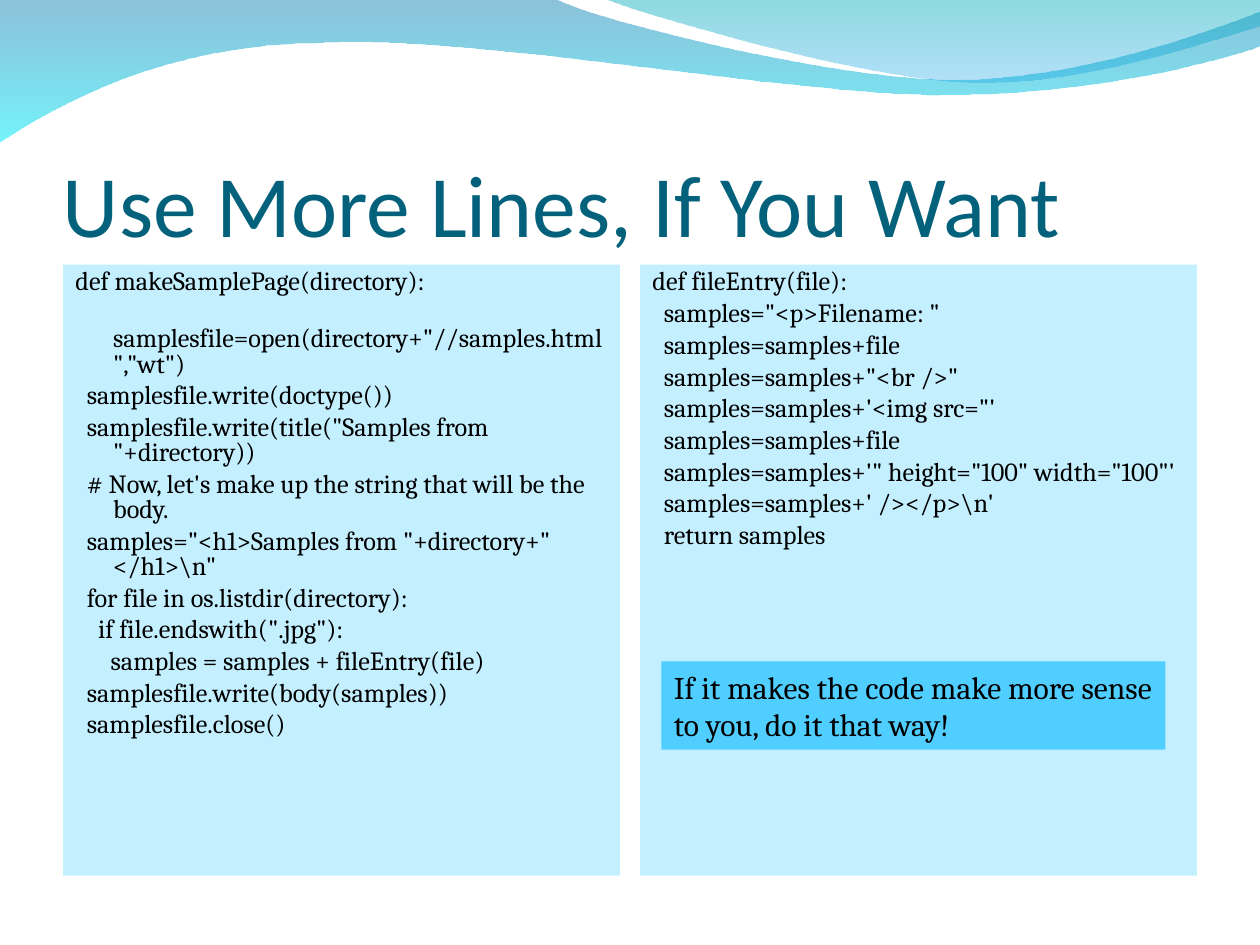
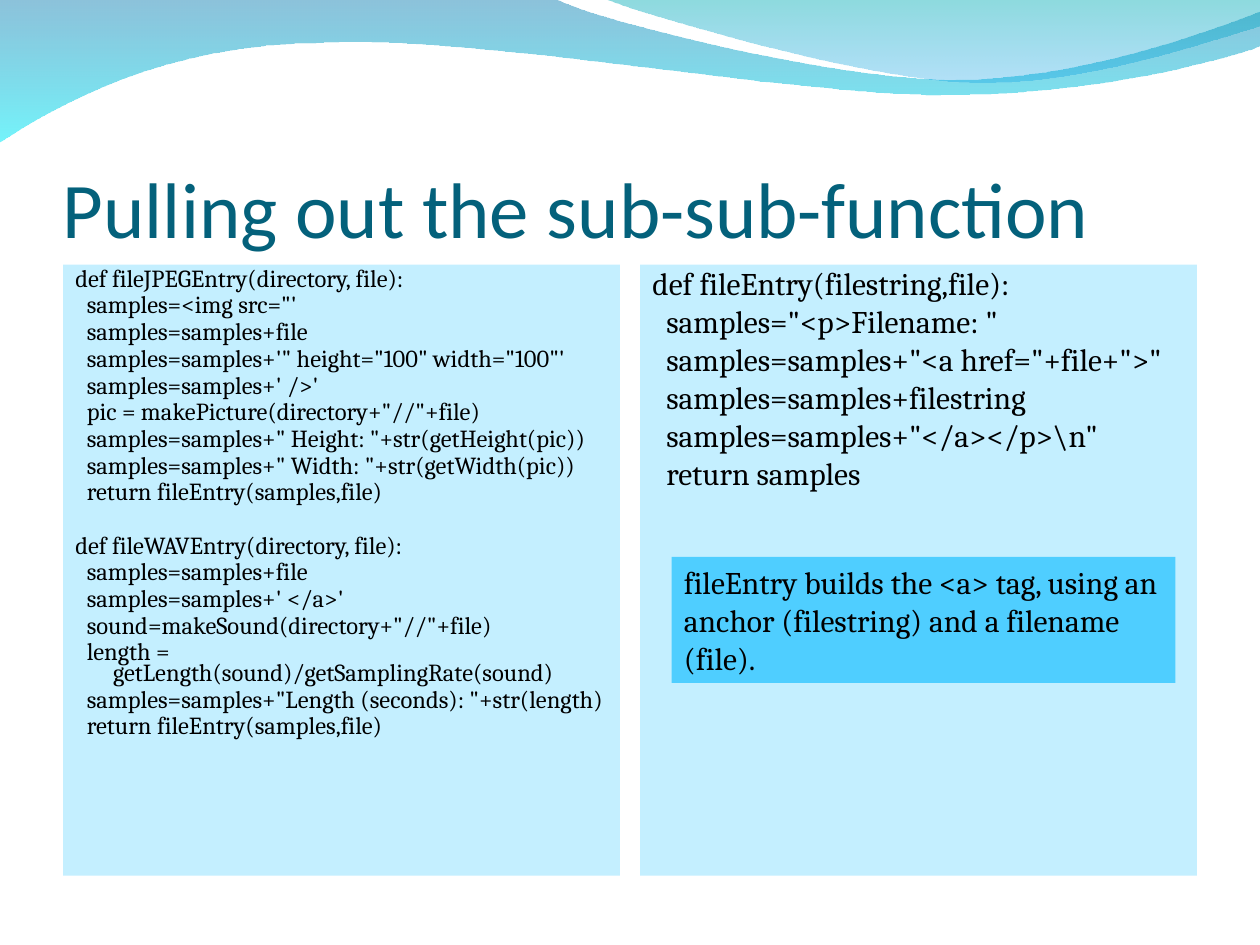
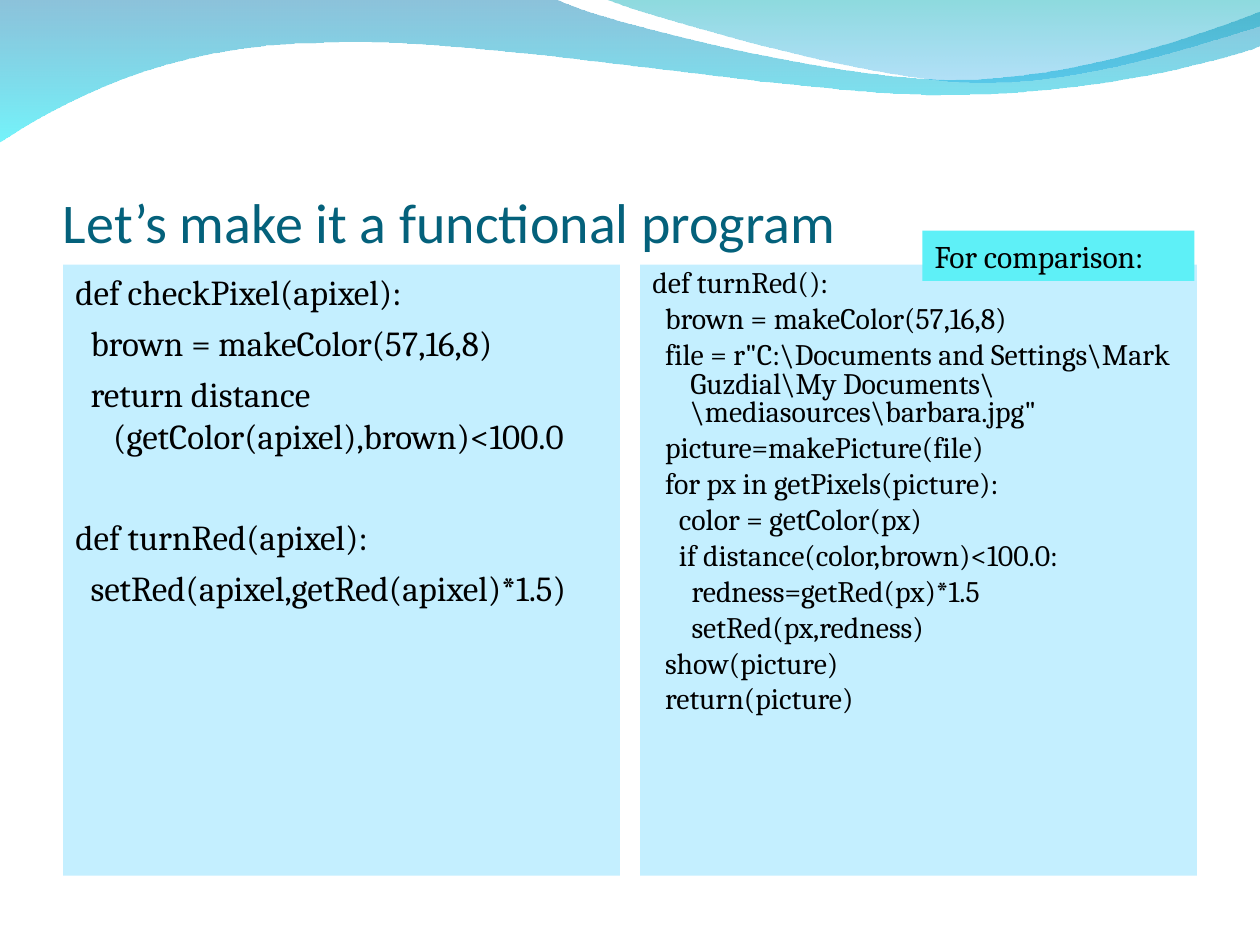
from dataclasses import dataclass
from typing import NamedTuple

from lxml import etree
from pptx import Presentation
from pptx.dml.color import RGBColor
from pptx.enum import shapes, text
from pptx.oxml import ns
from pptx.util import Emu, Pt

EMU_PER_PX = 9144  # 100 px to the inch


def px(length: float) -> Emu:
    return Emu(round(length * EMU_PER_PX))


# ---------- Theme and records ----------
@dataclass(frozen=True)
class Theme:
    heading_font: str = "Calibri"
    body_font: str = "Cambria"
    title_color: str = "04617B"
    text_color: str = "000000"
    panel_fill: str = "C4EFFF"
    note_fill: str = "4FCEFF"
    label_fill: str = "5EF0F7"
    note_size: int = 18
    line_height: float = 1.19  # body font line height, in ems
    space_width: float = 0.22  # body font space, in ems
    longest_word: int = 45  # characters that fit on one panel line


THEME = Theme()


class Box(NamedTuple):
    left: int
    top: int
    width: int
    height: int


class Stop(NamedTuple):
    color: str
    opacity: int


class Wave(NamedTuple):
    start: tuple
    segments: tuple  # one point is a line, three points are a curve
    stops: tuple


class Code(NamedTuple):
    source: str
    size: int
    spacing: float
    space_before: float


class Note(NamedTuple):
    words: str
    box: Box
    fill: str = THEME.note_fill


class Page(NamedTuple):
    title: str
    title_size: int
    panels: tuple
    note: Note


TITLE_BOX = Box(50, 77, 900, 125)
PANEL_BOX = Box(50, 210, 442, 485)
PANEL_STEP = 458
HANGING = 30
INSETS = (10, 5, 10, 5)

WAVES = (
    Wave((0, -1), (
        ((440, -1),),
        ((476, 17), (664, 63), (758, 63)),
        ((853, 63), (958, 26), (1000, 9)),
        ((1001, 36),),
        ((983, 44), (870, 76), (746, 75)),
        ((622, 75), (382, 28), (257, 34)),
        ((129, 35), (46, 83), (-1, 113)),
    ), (Stop("0079AF", 45), Stop("00EBF8", 55))),
    Wave((479, -1), (
        ((509, 11), (682, 62), (769, 65)),
        ((856, 69), (961, 32), (1000, 21)),
        ((1000, 0),),
    ), (Stop("00ADB6", 45), Stop("009BE5", 30))),
)

# ---------- Code listings ----------
SAMPLE_PAGE = r'''
def makeSamplePage(directory):
  samplesfile=open(directory+"//samples.html","wt")
  samplesfile.write(doctype())
  samplesfile.write(title("Samples from "+directory))
  # Now, let's make up the string that will be the body.
  samples="<h1>Samples from "+directory+" </h1>\n"
  for file in os.listdir(directory):
    if file.endswith(".jpg"):
      samples = samples + fileEntry(file)
  samplesfile.write(body(samples))
  samplesfile.close()
'''
FILE_ENTRY = r'''
def fileEntry(file):
  samples="<p>Filename: "
  samples=samples+file
  samples=samples+"<br />"
  samples=samples+'<img src="'
  samples=samples+file
  samples=samples+'" height="100" width="100"'
  samples=samples+' /></p>\n'
  return samples
'''
MEDIA_ENTRIES = r'''
def fileJPEGEntry(directory, file):
  samples=<img src="'
  samples=samples+file
  samples=samples+'" height="100" width="100"'
  samples=samples+' />'
  pic = makePicture(directory+"//"+file)
  samples=samples+" Height: "+str(getHeight(pic))
  samples=samples+" Width: "+str(getWidth(pic))
  return fileEntry(samples,file)

def fileWAVEntry(directory, file):
  samples=samples+file
  samples=samples+' </a>'
  sound=makeSound(directory+"//"+file)
  length = getLength(sound)/getSamplingRate(sound)
  samples=samples+"Length (seconds): "+str(length)
  return fileEntry(samples,file)
'''
LINK_ENTRY = r'''
def fileEntry(filestring,file):
  samples="<p>Filename: "
  samples=samples+"<a href="+file+">"
  samples=samples+filestring
  samples=samples+"</a></p>\n"
  return samples
'''
FUNCTIONAL_RED = r'''
def checkPixel(apixel):
  brown = makeColor(57,16,8)
  return distance (getColor(apixel),brown)<100.0

def turnRed(apixel):
  setRed(apixel,getRed(apixel)*1.5)
'''
LOOPING_RED = r'''
def turnRed():
  brown = makeColor(57,16,8)
  file = r"C:\Documents and Settings\Mark Guzdial\My Documents\\mediasources\barbara.jpg"
  picture=makePicture(file)
  for px in getPixels(picture):
    color = getColor(px)
    if distance(color,brown)<100.0:
      redness=getRed(px)*1.5
      setRed(px,redness)
  show(picture)
  return(picture)
'''

PAGES = (
    Page("Use More Lines, If You Want", 50,
         (Code(SAMPLE_PAGE, 15, 0.8, 3.7), Code(FILE_ENTRY, 15, 0.8, 3.7)),
         Note("If it makes the code make more sense to you, do it that way!",
              Box(525, 525, 400, 70))),
    Page("Pulling out the sub-sub-function", 45,
         (Code(MEDIA_ENTRIES, 14, 0.7, 3.5), Code(LINK_ENTRY, 18, 0.8, 4.5)),
         Note("fileEntry builds the <a> tag, using an anchor (filestring) "
              "and a filename (file).", Box(533, 442, 400, 100))),
    Page("Let’s make it a functional program", 32,
         (Code(FUNCTIONAL_RED, 20, 1.0, 5), Code(LOOPING_RED, 17, 0.8, 4.2)),
         Note("For comparison:", Box(732, 183, 216, 40), THEME.label_fill)),
)


# ---------- Drawing tools ----------
def set_frame(shape, insets: tuple = INSETS, anchor=text.MSO_ANCHOR.TOP) -> None:
    frame = shape.text_frame
    frame.word_wrap = True
    frame.vertical_anchor = anchor
    (frame.margin_left, frame.margin_top,
     frame.margin_right, frame.margin_bottom) = map(px, insets)


def write_text(paragraph, words: str, *, size: int, font: str = THEME.body_font,
               color: str = THEME.text_color, spacing: float = 1.0,
               space_before: float = 0, margin: int = 0,
               first_indent: int = 0) -> None:
    paragraph.alignment = text.PP_ALIGN.LEFT
    paragraph.line_spacing = spacing
    paragraph.space_before = Pt(space_before)
    properties = paragraph._p.get_or_add_pPr()
    properties.set("marL", str(px(margin)))
    properties.set("indent", str(px(first_indent)))
    run = paragraph.add_run()
    run.text = words
    run.font.size = Pt(size)
    run.font.name = font
    run.font.color.rgb = RGBColor.from_string(color)


def add_block(slide, box: Box, fill: str):
    block = slide.shapes.add_shape(shapes.MSO_SHAPE.RECTANGLE, *map(px, box))
    block.shadow.inherit = False
    block.fill.solid()
    block.fill.fore_color.rgb = RGBColor.from_string(fill)
    block.line.fill.background()
    set_frame(block)
    return block


def bend_lines(shape, wave: Wave) -> None:
    """Turn the straight steps of a freeform into the wave's curves."""
    lines = list(shape.element.iter(ns.qn("a:lnTo")))
    for line, segment in zip(lines, wave.segments):
        if len(segment) == 1:
            continue
        line.tag = ns.qn("a:cubicBezTo")
        end_point = line[0]
        for x, y in segment[:-1]:
            control = etree.Element(ns.qn("a:pt"))
            control.set("x", str(px(x) - shape.left))
            control.set("y", str(px(y) - shape.top))
            end_point.addprevious(control)


def add_wave(slide, wave: Wave):
    corners = [(px(x), px(y)) for x, y in (segment[-1] for segment in wave.segments)]
    builder = slide.shapes.build_freeform(*map(px, wave.start), scale=1.0)
    builder.add_line_segments(corners, close=True)
    shape = builder.convert_to_shape()
    bend_lines(shape, wave)
    shape.shadow.inherit = False
    shape.line.fill.background()
    shape.fill.gradient()
    shape.fill.gradient_angle = 270  # top to bottom
    for gradient_stop, stop in zip(shape.fill.gradient_stops, wave.stops):
        gradient_stop.color.rgb = RGBColor.from_string(stop.color)
    for color, stop in zip(shape.element.iter(ns.qn("a:srgbClr")), wave.stops):
        etree.SubElement(color, ns.qn("a:alpha")).set("val", str(stop.opacity * 1000))
    return shape


def add_master_waves(presentation, slide) -> None:
    """Draw the waves on a slide, then move them to the shared master."""
    tree = presentation.slide_master.element.cSld.spTree
    for number, wave in enumerate(WAVES, start=100):
        element = add_wave(slide, wave).element
        element.nvSpPr.cNvPr.set("id", str(number))
        tree.append(element)


# ---------- Slide parts ----------
def add_title(slide, page: Page) -> None:
    title = slide.shapes.add_textbox(*map(px, TITLE_BOX))
    set_frame(title, (0, 5, 0, 0), text.MSO_ANCHOR.BOTTOM)
    write_text(title.text_frame.paragraphs[0], page.title, size=page.title_size,
               font=THEME.heading_font, color=THEME.title_color)


def add_code(slide, code: Code, column: int) -> None:
    box = PANEL_BOX._replace(left=PANEL_BOX.left + column * PANEL_STEP)
    frame = add_block(slide, box, THEME.panel_fill).text_frame
    line_height = THEME.line_height * code.size * code.spacing
    paragraph, gap = frame.paragraphs[0], 0.0
    for line in code.source.strip("\n").split("\n"):
        words = line.lstrip()
        if not words:  # an empty line becomes space above the next one
            gap = line_height + code.space_before
            continue
        spaces = len(line) - len(words)
        indent = round(spaces * THEME.space_width * code.size * 100 / 72) - HANGING
        if " " not in words and len(words) > THEME.longest_word:
            words, indent = line, -HANGING  # wraps right after its own indentation
        if paragraph is None:
            paragraph = frame.add_paragraph()
        write_text(paragraph, words, size=code.size, spacing=code.spacing,
                   space_before=round(code.space_before + gap, 1),
                   margin=HANGING, first_indent=indent)
        paragraph, gap = None, 0.0


def add_note(slide, note: Note) -> None:
    block = add_block(slide, note.box, note.fill)
    write_text(block.text_frame.paragraphs[0], note.words, size=THEME.note_size)


def main() -> None:
    presentation = Presentation()
    presentation.slide_width, presentation.slide_height = px(1000), px(750)
    blank = presentation.slide_layouts[6]
    for number, page in enumerate(PAGES):
        slide = presentation.slides.add_slide(blank)
        if number == 0:
            add_master_waves(presentation, slide)
        add_title(slide, page)
        for column, code in enumerate(page.panels):
            add_code(slide, code, column)
        add_note(slide, page.note)
    presentation.save("out.pptx")


if __name__ == "__main__":
    main()
